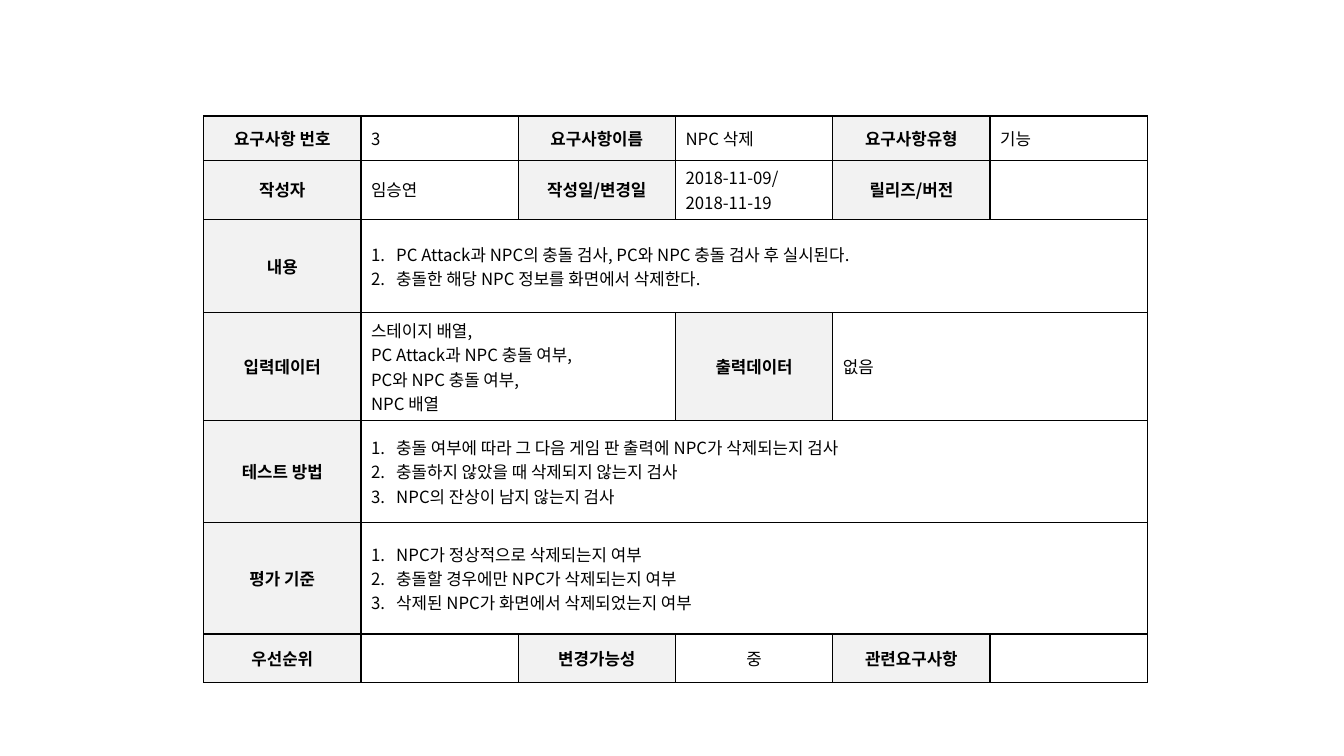
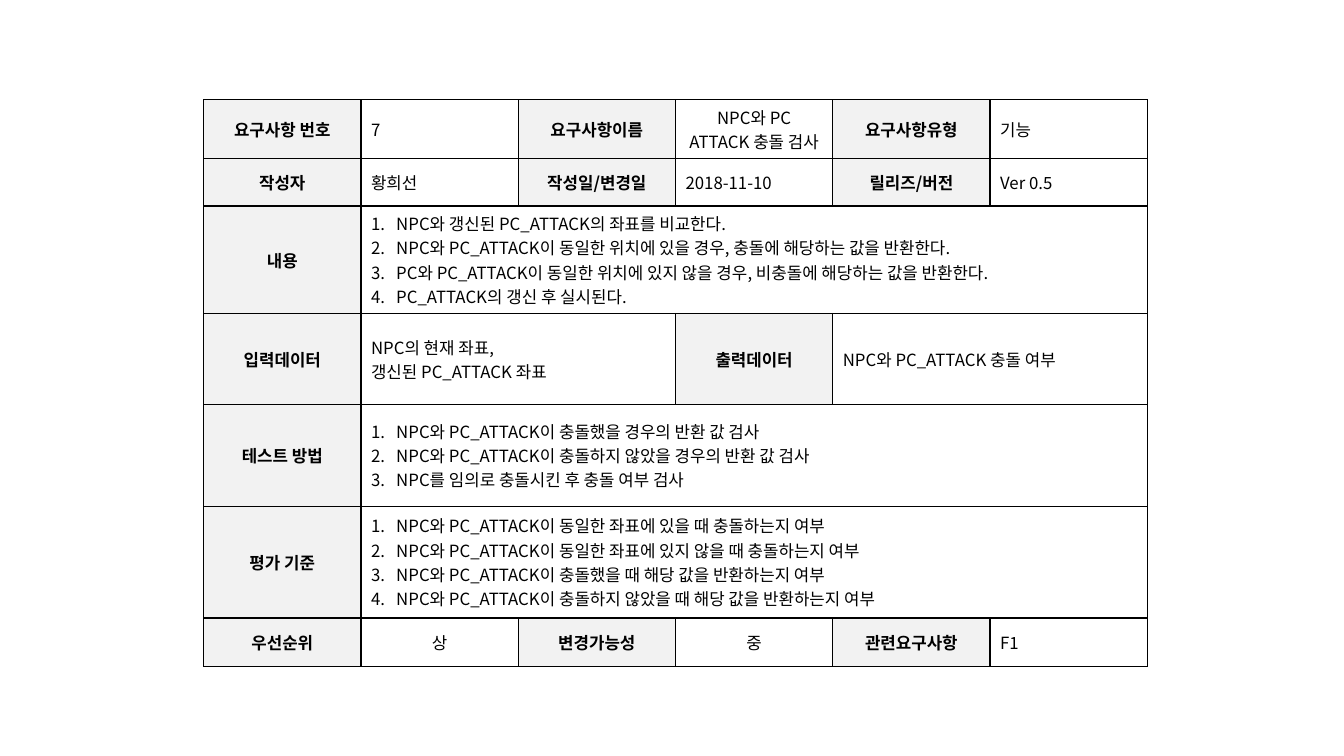
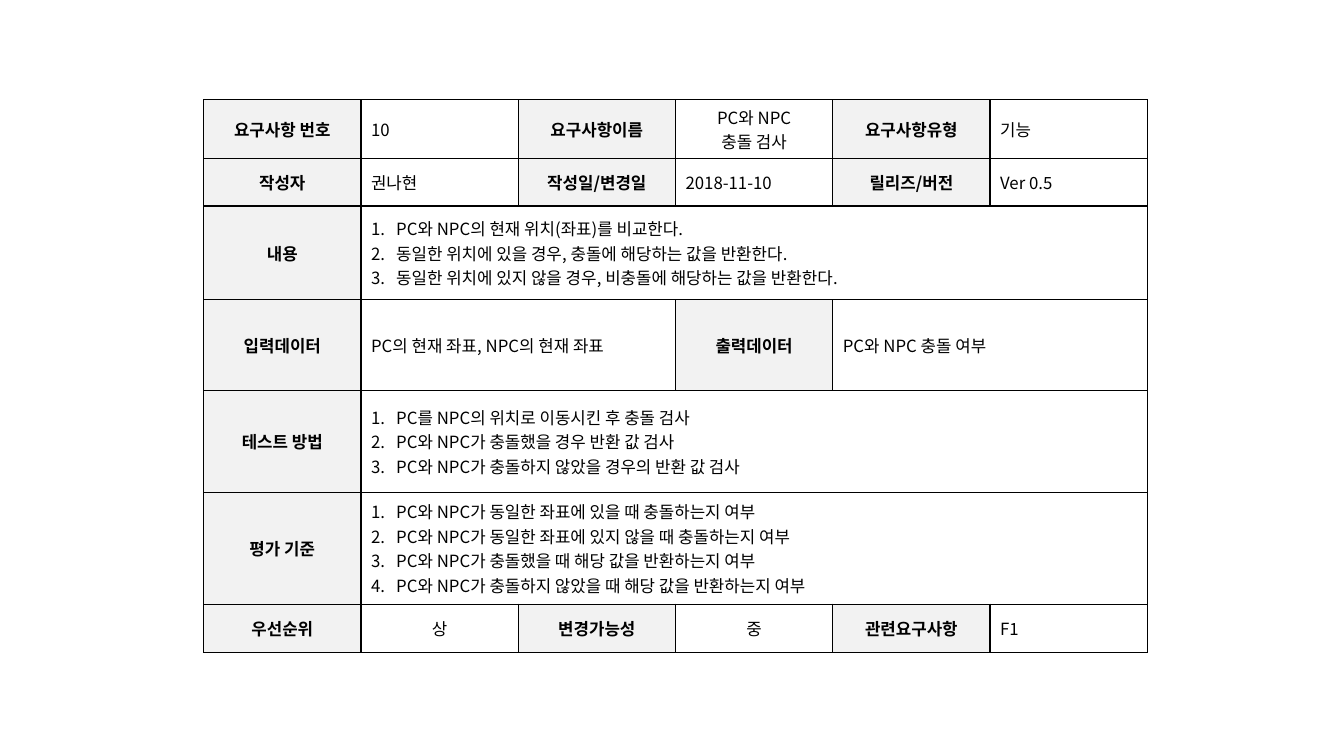
from lxml import etree
from pptx import Presentation
from pptx.dml.color import RGBColor
from pptx.enum.text import MSO_ANCHOR, PP_ALIGN
from pptx.oxml.ns import qn
from pptx.util import Emu, Inches, Pt

MID = MSO_ANCHOR.MIDDLE
LEFT, CENTER = PP_ALIGN.LEFT, PP_ALIGN.CENTER
COLORS = {"ink": "000000", "head": "F2F2F2"}
FONT = "Noto Sans CJK KR"
WIDE, HIGH = 13.33, 7.5
EDGE, COLS, UNIT = 2.02, 6, 1.56
ROWS = [0.44, 0.47, 0.93, 0.9, 1.01, 1.11, 0.48]
FORM = [
    [("요구사항 번호", 1), ("요구사항이름", 1), ("요구사항유형", 1)],
    [("작성자", 1), ("작성일/변경일", 1), ("릴리즈/버전", 1)],
    [("내용", 5)],
    [("입력데이터", 2), ("출력데이터", 2)],
    [("테스트 방법", 5)],
    [("평가 기준", 5)],
    [("우선순위", 1), ("변경가능성", 1), ("관련요구사항", 1)],
]
LISTS = {"내용", "테스트 방법", "평가 기준"}
MIDDLE = {"우선순위", "변경가능성"}

CARDS = [
    {
        "top": 1.15,
        "요구사항 번호": "3",
        "요구사항이름": "NPC 삭제",
        "요구사항유형": "기능",
        "작성자": "임승연",
        "작성일/변경일": "2018-11-09/\n2018-11-19",
        "내용": "PC Attack과 NPC의 충돌 검사, PC와 NPC 충돌 검사 후 실시된다.\n"
                "충돌한 해당 NPC 정보를 화면에서 삭제한다.",
        "입력데이터": "스테이지 배열,\nPC Attack과 NPC 충돌 여부,\nPC와 NPC 충돌 여부,\nNPC 배열",
        "출력데이터": "없음",
        "테스트 방법": "충돌 여부에 따라 그 다음 게임 판 출력에 NPC가 삭제되는지 검사\n"
                  "충돌하지 않았을 때 삭제되지 않는지 검사\n"
                  "NPC의 잔상이 남지 않는지 검사",
        "평가 기준": "NPC가 정상적으로 삭제되는지 여부\n"
                 "충돌할 경우에만 NPC가 삭제되는지 여부\n"
                 "삭제된 NPC가 화면에서 삭제되었는지 여부",
        "변경가능성": "중",
    },
    {
        "top": 0.99,
        "mid": {"요구사항이름"},
        "요구사항 번호": "7",
        "요구사항이름": "NPC와 PC ATTACK 충돌 검사",
        "요구사항유형": "기능",
        "작성자": "황희선",
        "작성일/변경일": "2018-11-10",
        "릴리즈/버전": "Ver 0.5",
        "내용": "NPC와 갱신된 PC_ATTACK의 좌표를 비교한다.\n"
              "NPC와 PC_ATTACK이 동일한 위치에 있을 경우, 충돌에 해당하는 값을 반환한다.\n"
              "PC와 PC_ATTACK이 동일한 위치에 있지 않을 경우, 비충돌에 해당하는 값을 반환한다.\n"
              "PC_ATTACK의 갱신 후 실시된다.",
        "입력데이터": "NPC의 현재 좌표,\n갱신된 PC_ATTACK 좌표",
        "출력데이터": "NPC와 PC_ATTACK 충돌 여부",
        "테스트 방법": "NPC와 PC_ATTACK이 충돌했을 경우의 반환 값 검사\n"
                  "NPC와 PC_ATTACK이 충돌하지 않았을 경우의 반환 값 검사\n"
                  "NPC를 임의로 충돌시킨 후 충돌 여부 검사",
        "평가 기준": "NPC와 PC_ATTACK이 동일한 좌표에 있을 때 충돌하는지 여부\n"
                 "NPC와 PC_ATTACK이 동일한 좌표에 있지 않을 때 충돌하는지 여부\n"
                 "NPC와 PC_ATTACK이 충돌했을 때 해당 값을 반환하는지 여부\n"
                 "NPC와 PC_ATTACK이 충돌하지 않았을 때 해당 값을 반환하는지 여부",
        "우선순위": "상",
        "변경가능성": "중",
        "관련요구사항": "F1",
    },
    {
        "top": 0.99,
        "mid": {"요구사항이름"},
        "요구사항 번호": "10",
        "요구사항이름": "PC와 NPC\n충돌 검사",
        "요구사항유형": "기능",
        "작성자": "권나현",
        "작성일/변경일": "2018-11-10",
        "릴리즈/버전": "Ver 0.5",
        "내용": "PC와 NPC의 현재 위치(좌표)를 비교한다.\n"
              "동일한 위치에 있을 경우, 충돌에 해당하는 값을 반환한다.\n"
              "동일한 위치에 있지 않을 경우, 비충돌에 해당하는 값을 반환한다.",
        "입력데이터": "PC의 현재 좌표, NPC의 현재 좌표",
        "출력데이터": "PC와 NPC 충돌 여부",
        "테스트 방법": "PC를 NPC의 위치로 이동시킨 후 충돌 검사\n"
                  "PC와 NPC가 충돌했을 경우 반환 값 검사\n"
                  "PC와 NPC가 충돌하지 않았을 경우의 반환 값 검사",
        "평가 기준": "PC와 NPC가 동일한 좌표에 있을 때 충돌하는지 여부\n"
                 "PC와 NPC가 동일한 좌표에 있지 않을 때 충돌하는지 여부\n"
                 "PC와 NPC가 충돌했을 때 해당 값을 반환하는지 여부\n"
                 "PC와 NPC가 충돌하지 않았을 때 해당 값을 반환하는지 여부",
        "우선순위": "상",
        "변경가능성": "중",
        "관련요구사항": "F1",
    },
]


def write(frame, text, bold=False, align=LEFT, count=False, size=12):
    for i, line in enumerate(text.split("\n")):
        para = frame.paragraphs[0] if i == 0 else frame.add_paragraph()
        para.alignment = align
        if count:
            props = para._p.get_or_add_pPr()
            props.set("marL", str(Inches(0.25)))
            props.set("indent", str(-Inches(0.25)))
            etree.SubElement(props, qn("a:buFont"), typeface="+mj-lt")
            etree.SubElement(props, qn("a:buAutoNum"), type="arabicPeriod")
        run = para.add_run()
        run.text = line
        font = run.font
        font.size, font.bold, font.name = Pt(size), bold, FONT
        font.color.rgb = RGBColor.from_string(COLORS["ink"])
        etree.SubElement(run._r.get_or_add_rPr(), qn("a:ea"), typeface=FONT)


class Deck:
    """Hold the shared style and the current slide."""

    def __init__(self):
        self.prs = Presentation()
        self.prs.slide_width = Inches(WIDE)
        self.prs.slide_height = Inches(HIGH)

    def page(self):
        self.slide = self.prs.slides.add_slide(self.prs.slide_layouts[6])

    def frame(self, cell):
        props = cell._tc.get_or_add_tcPr()
        for side in "LRTB":
            line = etree.SubElement(props, qn("a:ln" + side), w=str(Pt(1)))
            fill = etree.SubElement(line, qn("a:solidFill"))
            etree.SubElement(fill, qn("a:srgbClr"), val=COLORS["ink"])
        cell.fill.background()
        cell.vertical_anchor = MID

    def grid(self, top):
        shape = self.slide.shapes.add_table(
            len(ROWS), COLS, Inches(EDGE), Inches(top),
            Inches(UNIT * COLS), Inches(sum(ROWS)))
        table = shape.table
        table.first_row = table.horz_banding = False
        for col in table.columns:
            col.width = Emu(Inches(UNIT))
        for row, high in zip(table.rows, ROWS):
            row.height = Inches(high)
        for cell in table.iter_cells():
            self.frame(cell)
        return table

    def head(self, cell, text):
        cell.fill.solid()
        cell.fill.fore_color.rgb = RGBColor.from_string(COLORS["head"])
        write(cell.text_frame, text, bold=True, align=CENTER)

    def card(self, data):
        table = self.grid(data["top"])
        mid = MIDDLE | data.get("mid", set())
        for r, fields in enumerate(FORM):
            c = 0
            for name, span in fields:
                self.head(table.cell(r, c), name)
                cell = table.cell(r, c + 1)
                if span > 1:
                    cell.merge(table.cell(r, c + span))
                write(cell.text_frame, data.get(name, ""),
                      align=CENTER if name in mid else LEFT,
                      count=name in LISTS)
                c += span + 1


def main():
    deck = Deck()
    for data in CARDS:
        deck.page()
        deck.card(data)
    deck.prs.save("out.pptx")


if __name__ == "__main__":
    main()
